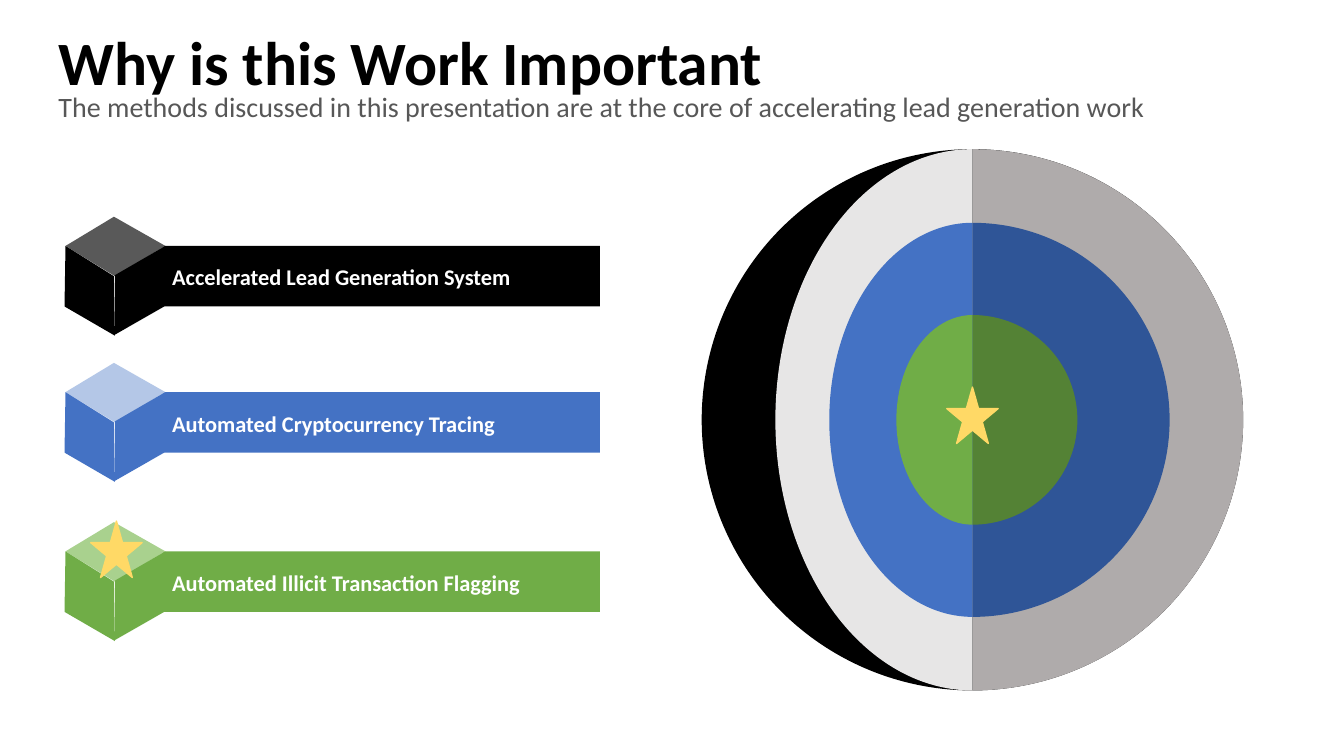
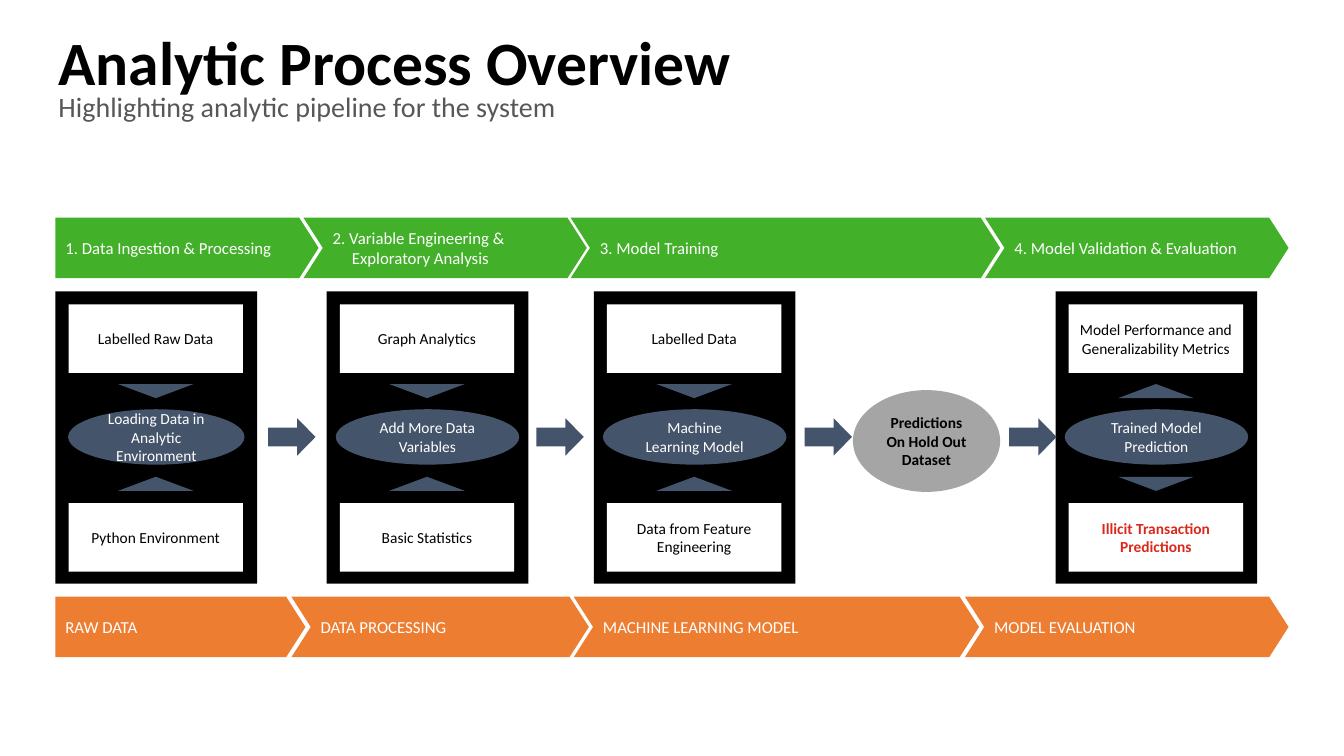
"""Build two slides on lead generation and its analytic process."""
import pptx
import pptx.dml.color
import pptx.enum.shapes
import pptx.enum.text
import pptx.util

Inches = pptx.util.Inches
Pt = pptx.util.Pt
KIND = pptx.enum.shapes.MSO_SHAPE
ALIGN = pptx.enum.text.PP_ALIGN
ANCHOR = pptx.enum.text.MSO_ANCHOR

HUES = {
    "black": "000000", "white": "FFFFFF", "gray": "575757", "coal": "595959",
    "blue": "4472C4", "navy": "2F5597", "sky": "B4C7E7",
    "green": "70AD47", "moss": "548235", "mint": "A9D18E",
    "stone": "AFABAB", "mist": "E7E6E6", "gold": "FFD966",
    "slate": "44546A", "silver": "A5A5A5", "lime": "43B02A",
    "orange": "ED7D31", "red": "DA291C",
}


def tint(name):
    return pptx.dml.color.RGBColor.from_string(HUES[name])


def write(frame, text, size=11, hue="black", bold=False, align=ALIGN.LEFT,
          anchor=ANCHOR.MIDDLE, inset=0.1, space=1.0, hang=0):
    frame.word_wrap = True
    frame.vertical_anchor = anchor
    frame.margin_left = frame.margin_right = Inches(inset)
    frame.margin_top = frame.margin_bottom = Inches(inset)
    frame.text = text
    for para in frame.paragraphs:
        para.alignment = align
        para.line_spacing = space
        para.font.name = "Calibri"
        para.font.size = Pt(size)
        para.font.bold = bold
        para.font.color.rgb = tint(hue)
        if hang:
            props = para._p.get_or_add_pPr()
            props.set("marL", str(Inches(hang)))
            props.set("indent", str(-Inches(hang)))


class Deck:
    def __init__(self):
        self.show = pptx.Presentation()
        self.show.slide_width = Inches(13.33)
        self.show.slide_height = Inches(7.5)
        self.slide = None

    def page(self, title, lead):
        self.slide = self.show.slides.add_slide(self.show.slide_layouts[6])
        self.label(0.58, 0.93, 12.18, 0.83, lead, size=20, hue="gray")
        self.label(0.58, 0.32, 12.18, 0.51, title, size=44, bold=True)

    def label(self, x, y, w, h, text, **form):
        box = self.slide.shapes.add_textbox(
            Inches(x), Inches(y), Inches(w), Inches(h))
        write(box.text_frame, text, anchor=ANCHOR.TOP, inset=0, space=0.9, **form)

    def paint(self, shape, fill, line=None):
        shape.shadow.inherit = False
        shape.fill.solid()
        shape.fill.fore_color.rgb = tint(fill)
        if line:
            shape.line.color.rgb = tint(line)
            shape.line.width = Pt(1)
        else:
            shape.line.fill.background()

    def shape(self, kind, x, y, w, h, fill, text="", line=None, turn=0,
              bends=(), **form):
        shape = self.slide.shapes.add_shape(
            kind, Inches(x), Inches(y), Inches(w), Inches(h))
        self.paint(shape, fill, line)
        shape.rotation = turn
        for spot, bend in enumerate(bends):
            shape.adjustments[spot] = bend
        if text:
            write(shape.text_frame, text, **form)

    def face(self, points, fill):
        spots = [(Inches(x), Inches(y)) for x, y in points]
        form = self.slide.shapes.build_freeform(*spots[0], scale=1.0)
        form.add_line_segments(spots[1:], close=True)
        self.paint(form.convert_to_shape(), fill)

    def cube(self, y, side, top):
        self.face([(0.65, y), (1.13, y - 0.29), (1.64, y), (1.14, y + 0.3)], top)
        self.face([(1.14, y + 0.29), (1.14, y + 0.88),
                   (1.63, y + 0.6), (1.64, y)], side)
        self.face([(0.64, y + 0.6), (0.65, y),
                   (1.13, y + 0.3), (1.14, y + 0.89)], side)

    def star(self, x, y):
        self.shape(KIND.STAR_5_POINT, x, y, 0.51, 0.56, "gold", line="gold")

    def ring(self, x, y, size, depth, dark, light):
        for wide, fill, turn in ((size, dark, 180), (depth, light, 0)):
            self.shape(KIND.ARC, x - wide / 2, y - size / 2, wide, size, fill,
                       turn=turn, bends=(54, 162))

    def band(self, y, fill, steps, hang=0):
        for spot, (x, w, text) in enumerate(steps):
            kind = KIND.CHEVRON if spot else KIND.PENTAGON
            self.shape(kind, x, y, w, 0.6, fill, text, bends=(0.32,),
                       size=12, hue="white", hang=hang)

    def stage(self, x, top, core, base, wide=1.82, inset=0.1, out=False):
        self.shape(KIND.RECTANGLE, x, 2.89, 2, 2.9, "black")
        for y, turn in ((3.81, 0 if out else 180), (4.73, 180 if out else 0)):
            self.shape(KIND.ISOSCELES_TRIANGLE, x + 0.62, y, 0.75, 0.14,
                       "slate", turn=turn)
        for y, text, key in ((3.02, top, False), (4.99, base, out)):
            self.shape(KIND.RECTANGLE, x + 0.13, y, 1.73, 0.68, "white", text,
                       hue="red" if key else "black", bold=key,
                       align=ALIGN.CENTER)
        self.shape(KIND.OVAL, x + 1 - wide / 2, 4.06, wide, 0.55, "slate", core,
                   hue="white", align=ALIGN.CENTER, inset=inset)


deck = Deck()

deck.page("Why is this Work Important",
          "The methods discussed in this presentation are at the core of "
          "accelerating lead generation work")
for y, side, top, text in (
        (2.44, "black", "coal", "Accelerated Lead Generation System"),
        (3.89, "blue", "sky", "Automated Cryptocurrency Tracing"),
        (5.47, "green", "mint", "Automated Illicit Transaction Flagging")):
    deck.shape(KIND.RECTANGLE, 1.61, y, 4.34, 0.6, side, text, size=16,
               hue="white", bold=True, space=1.06)
    deck.cube(y, side, top)
deck.shape(KIND.OVAL, 6.96, 1.48, 5.37, 5.37, "black")
for size, depth, dark, light in ((5.37, 3.91, "stone", "mist"),
                                 (3.91, 2.84, "navy", "blue"),
                                 (2.08, 1.51, "moss", "green")):
    deck.ring(9.645, 4.165, size, depth, dark, light)
deck.star(0.9, 5.17)
deck.star(9.39, 3.84)

deck.page("Analytic Process Overview",
          "Highlighting analytic pipeline for the system")
deck.band(2.16, "lime", (
    (0.55, 2.61, "1. Data Ingestion & Processing"),
    (3.01, 2.81, "2. Variable Engineering & Exploratory Analysis"),
    (5.66, 4.26, "3. Model Training"),
    (9.77, 3.01, "4. Model Validation & Evaluation")), hang=0.19)
deck.stage(0.55, "Labelled Raw Data", "Loading Data in Analytic Environment",
           "Python Environment", wide=1.75, inset=0)
deck.stage(3.24, "Graph Analytics", "Add More Data Variables",
           "Basic Statistics")
deck.stage(5.89, "Labelled Data", "Machine Learning Model",
           "Data from Feature Engineering")
deck.stage(10.47, "Model Performance and Generalizability Metrics",
           "Trained Model Prediction", "Illicit Transaction Predictions",
           out=True)
deck.shape(KIND.OVAL, 8.46, 3.87, 1.46, 1.01, "silver",
           "Predictions\nOn Hold Out\nDataset", bold=True,
           align=ALIGN.CENTER, inset=0)
for x in (2.66, 5.32, 7.98, 10.01):
    deck.shape(KIND.RIGHT_ARROW, x, 4.15, 0.47, 0.37, "slate",
               bends=(0.5, 0.49))
deck.band(5.92, "orange", (
    (0.55, 2.48, "RAW DATA"),
    (2.89, 2.95, "DATA PROCESSING"),
    (5.69, 4.02, "MACHINE LEARNING MODEL"),
    (9.57, 3.21, "MODEL EVALUATION")))

deck.show.save("out.pptx")
